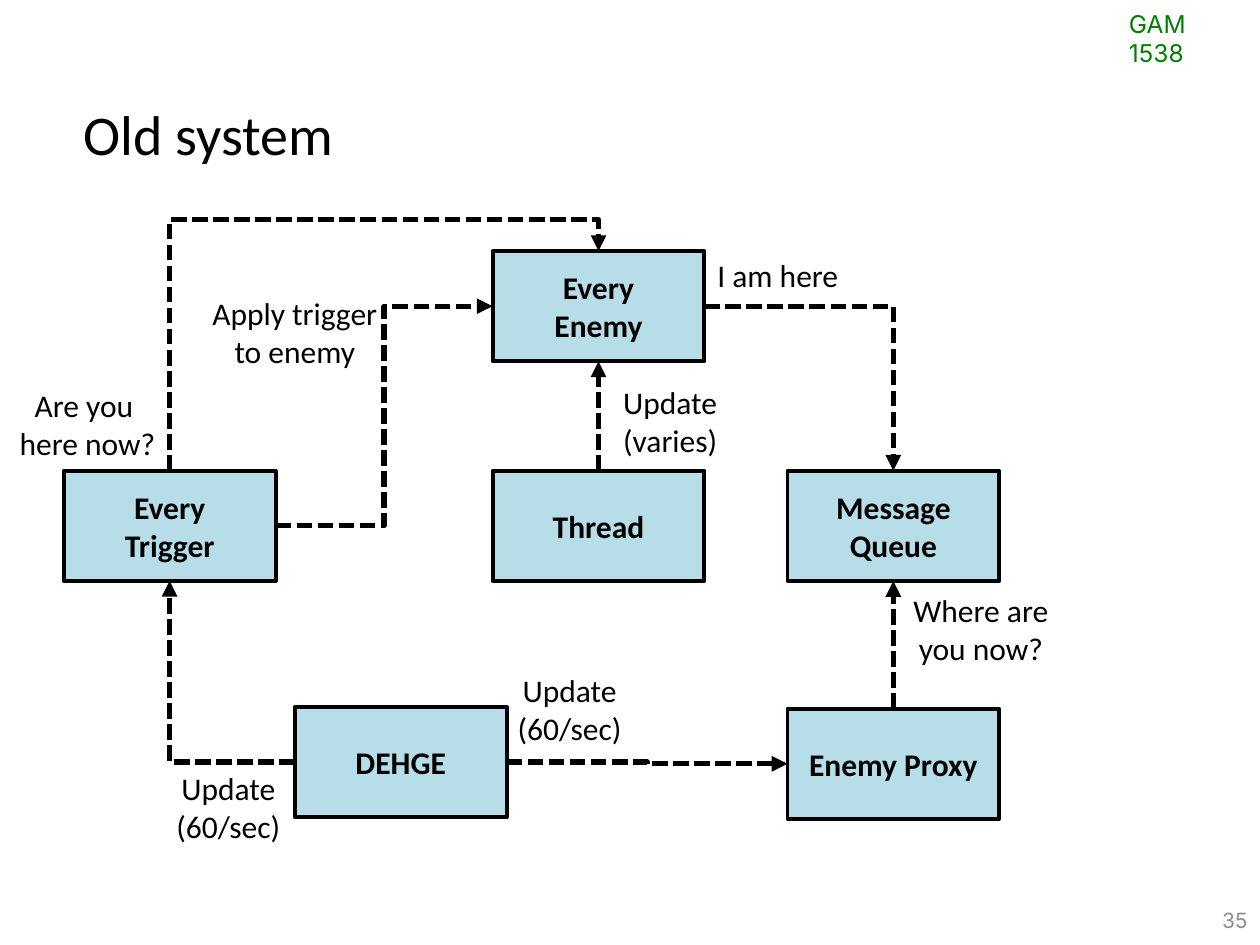
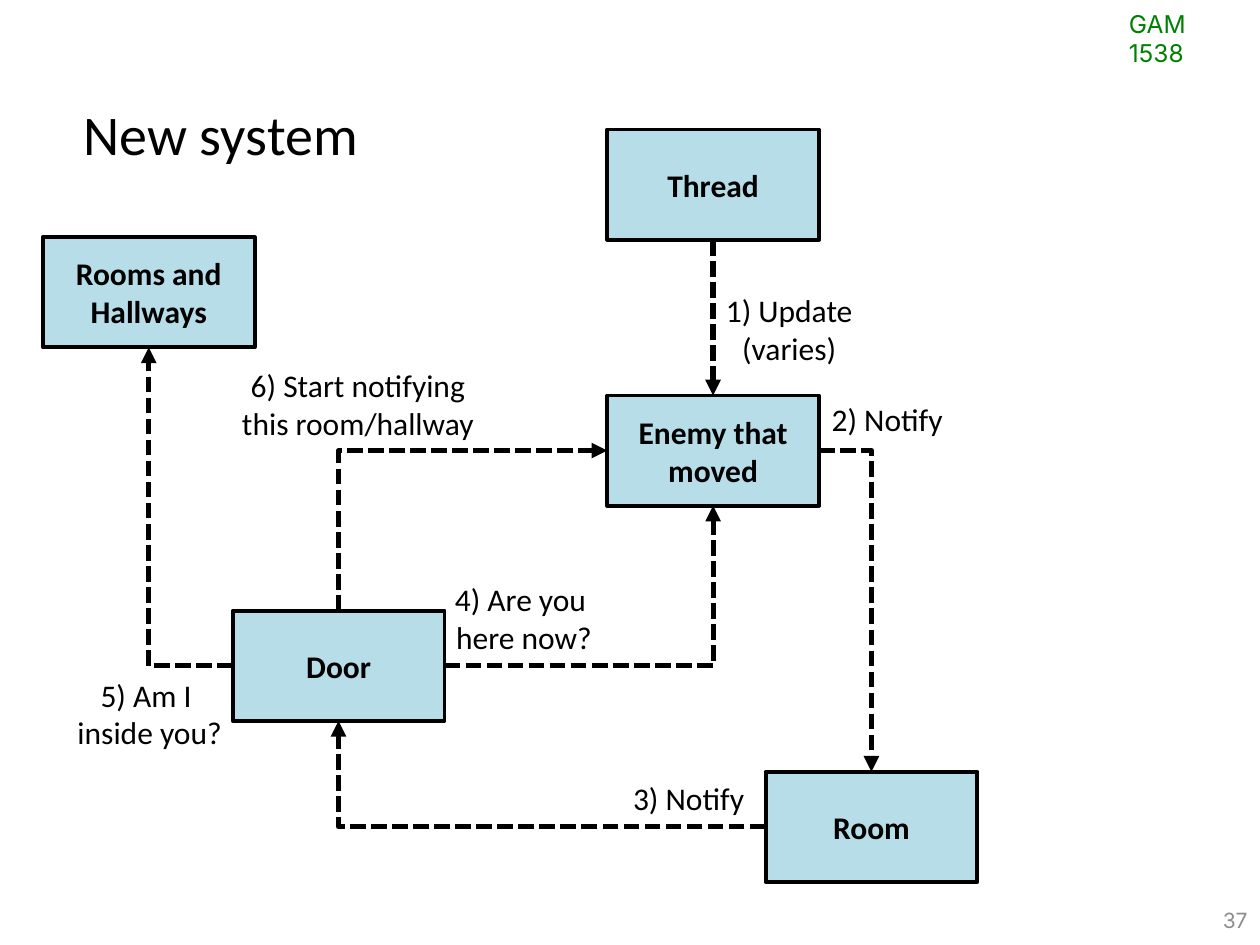
from lxml import etree
from pptx import Presentation
from pptx import util as u
from pptx.dml.color import RGBColor
from pptx.enum import dml, shapes, text
from pptx.oxml.ns import qn

Pt = u.Pt
BLACK, GREEN, GREY, PALE_BLUE = "000000", "008000", "8C8C8C", "B7DEE8"
LEFT, CENTER, RIGHT = text.PP_ALIGN.LEFT, text.PP_ALIGN.CENTER, text.PP_ALIGN.RIGHT
BOX_W, BOX_H = 121, 63
ONE_LINE, NEXT_LINE = 28.8, 22.3

# Connection sites of a rectangle: even ones leave vertically, odd ones sideways
TOP_SIDE, LEFT_SIDE, BOTTOM_SIDE, RIGHT_SIDE = range(4)
SITES = [(BOX_W / 2, 0), (0, BOX_H / 2), (BOX_W / 2, BOX_H), (BOX_W, BOX_H / 2)]

# boxes: name -> (left, top, lines)
# labels: (left, top, width, lines)
# links: (from box, side, to box, side, position of the middle bend)
SYSTEMS = [
    {
        "title": "Old system",
        "number": "35",
        "boxes": {
            "queue": (450, 269, ["Message Queue"]),
            "thread": (281.5, 269, ["Thread"]),
            "enemy": (281.5, 143.5, ["Every", "Enemy"]),
            "proxy": (450, 405, ["Enemy Proxy"]),
            "engine": (168.5, 404, ["DEHGE"]),
            "trigger": (36.5, 269, ["Every", "Trigger"]),
        },
        "labels": [
            (402.5, 142.5, 84, ["I am here"]),
            (348.5, 215.5, 69, ["Update", "(varies)"]),
            (3.5, 217, 93, ["Are you ", "here now?"]),
            (514, 334, 93, ["Where are", "you now?"]),
            (113.5, 164.5, 110, ["Apply trigger", "to enemy"]),
            (288, 380, 75, ["Update", "(60/sec)"]),
            (93, 436, 75, ["Update", "(60/sec)"]),
        ],
        "links": [
            ("enemy", RIGHT_SIDE, "queue", TOP_SIDE, None),
            ("proxy", TOP_SIDE, "queue", BOTTOM_SIDE, None),
            ("thread", TOP_SIDE, "enemy", BOTTOM_SIDE, None),
            ("engine", LEFT_SIDE, "trigger", BOTTOM_SIDE, None),
            ("trigger", TOP_SIDE, "enemy", TOP_SIDE, 1.143),
            ("trigger", RIGHT_SIDE, "enemy", LEFT_SIDE, 0.5),
            ("engine", RIGHT_SIDE, "proxy", LEFT_SIDE, 0.5),
        ],
    },
    {
        "title": "New system",
        "number": "37",
        "boxes": {
            "thread": (347, 74, ["Thread"]),
            "enemy": (347, 226, ["Enemy that", "moved"]),
            "door": (133, 349, ["Door"]),
            "room": (437.5, 441, ["Room"]),
            "rooms": (24.5, 135.5, ["Rooms and Hallways"]),
        },
        "labels": [
            (354, 441.5, 79, ["3) Notify"]),
            (407, 163, 88, ["1) Update", "(varies)"]),
            (252.5, 328, 94, ["4) Are you ", "here now?"]),
            (36.5, 382.5, 98, ["5) Am I ", "inside you?"]),
            (467.5, 225, 79, ["2) Notify"]),
            (130.5, 205.5, 148, ["6) Start notifying", "this room/hallway"]),
        ],
        "links": [
            ("room", LEFT_SIDE, "door", BOTTOM_SIDE, None),
            ("enemy", RIGHT_SIDE, "room", TOP_SIDE, None),
            ("door", RIGHT_SIDE, "enemy", BOTTOM_SIDE, None),
            ("door", LEFT_SIDE, "rooms", BOTTOM_SIDE, None),
            ("door", TOP_SIDE, "enemy", LEFT_SIDE, None),
            ("thread", BOTTOM_SIDE, "enemy", TOP_SIDE, None),
        ],
    },
]


def write(box, lines, size, colour=BLACK, font="Calibri", bold=False, align=LEFT):
    """Fill a shape with one formatted paragraph per line."""
    frame = box.text_frame
    for index, line in enumerate(lines):
        para = frame.paragraphs[0] if index == 0 else frame.add_paragraph()
        para.alignment = align
        span = para.add_run()
        span.text = line
        span.font.name, span.font.size, span.font.bold = font, Pt(size), bold
        span.font.color.rgb = RGBColor.from_string(colour)


def link(page, start, start_side, end, end_side, bend):
    """Draw a dashed arrow glued to two boxes, bent where the sides require it."""
    (x1, y1), (x2, y2) = [
        (box.left.pt + SITES[side][0], box.top.pt + SITES[side][1])
        for box, side in ((start, start_side), (end, end_side))]
    straight = bend is None and start_side % 2 == end_side % 2
    kind = shapes.MSO_CONNECTOR.STRAIGHT if straight else shapes.MSO_CONNECTOR.ELBOW
    arrow = page.shapes.add_connector(kind, Pt(x1), Pt(y1), Pt(x2), Pt(y2))
    arrow.begin_connect(start, start_side)
    arrow.end_connect(end, end_side)
    arrow.line.width = Pt(3)
    arrow.line.color.rgb = RGBColor.from_string(BLACK)
    arrow.line.dash_style = dml.MSO_LINE.SQUARE_DOT
    properties = arrow.element.spPr
    etree.SubElement(properties.find(qn("a:ln")), qn("a:tailEnd"), type="triangle")
    etree.SubElement(properties, qn("a:effectLst"))
    if straight:
        return

    geometry = properties.find(qn("a:prstGeom"))
    if bend is None:
        geometry.set("prst", "bentConnector2")
    else:
        guides = geometry.find(qn("a:avLst"))
        if guides is None:
            guides = etree.SubElement(geometry, qn("a:avLst"))
        etree.SubElement(guides, qn("a:gd"), name="adj1", fmla=f"val {round(bend * 100000)}")

    # A vertical start is the horizontal form turned by 90 degrees about its centre
    width, height = abs(x2 - x1), abs(y2 - y1)
    flip_h, flip_v = x2 < x1, y2 < y1
    frame = properties.find(qn("a:xfrm"))
    if start_side % 2 == 0:
        width, height = height, width
        flip_h, flip_v = y2 < y1, x2 > x1
        frame.set("rot", str(90 * 60000))
    frame.set("flipH", str(int(flip_h)))
    frame.set("flipV", str(int(flip_v)))
    arrow.left, arrow.top = Pt((x1 + x2 - width) / 2), Pt((y1 + y2 - height) / 2)
    arrow.width, arrow.height = Pt(width), Pt(height)


deck = Presentation()
deck.slide_width, deck.slide_height = Pt(720), Pt(540)
title_only = deck.slide_layouts[5]

for system in SYSTEMS:
    page = deck.slides.add_slide(title_only)

    title = page.shapes.title
    title.left, title.top, title.width, title.height = Pt(40.5), Pt(53.5), Pt(648), Pt(46)
    title.text_frame.vertical_anchor = text.MSO_ANCHOR.TOP
    title.text_frame.auto_size = text.MSO_AUTO_SIZE.NONE
    write(title, [system["title"]], 32)

    number = page.shapes.add_textbox(Pt(552), Pt(511), Pt(168), Pt(29))
    number.text_frame.word_wrap = True
    number.text_frame.vertical_anchor = text.MSO_ANCHOR.MIDDLE
    write(number, [system["number"]], 12, GREY, "Inter", align=RIGHT)

    boxes = {}
    for name, (left, top, lines) in system["boxes"].items():
        box = page.shapes.add_shape(
            shapes.MSO_SHAPE.RECTANGLE, Pt(left), Pt(top), Pt(BOX_W), Pt(BOX_H))
        box.shadow.inherit = False
        box.fill.solid()
        box.fill.fore_color.rgb = RGBColor.from_string(PALE_BLUE)
        box.line.color.rgb = RGBColor.from_string(BLACK)
        box.line.width = Pt(2.25)
        box.text_frame.word_wrap = True
        box.text_frame.vertical_anchor = text.MSO_ANCHOR.MIDDLE
        write(box, lines, 18, bold=True, align=CENTER)
        boxes[name] = box

    for left, top, width, lines in system["labels"]:
        height = ONE_LINE + NEXT_LINE * (len(lines) - 1)
        label = page.shapes.add_textbox(Pt(left), Pt(top), Pt(width), Pt(height))
        label.text_frame.word_wrap = False
        write(label, lines, 18, align=CENTER)

    for start, start_side, end, end_side, bend in system["links"]:
        link(page, boxes[start], start_side, boxes[end], end_side, bend)

# The course code belongs to the master, so that every slide shows it
course = deck.slides[0].shapes.add_textbox(Pt(638), Pt(1.5), Pt(78), Pt(24.5))
course.text_frame.word_wrap = True
write(course, ["GAM 1538"], 14, GREEN, "Inter")
deck.slide_master.shapes.element.append(course.element)

deck.save("out.pptx")
